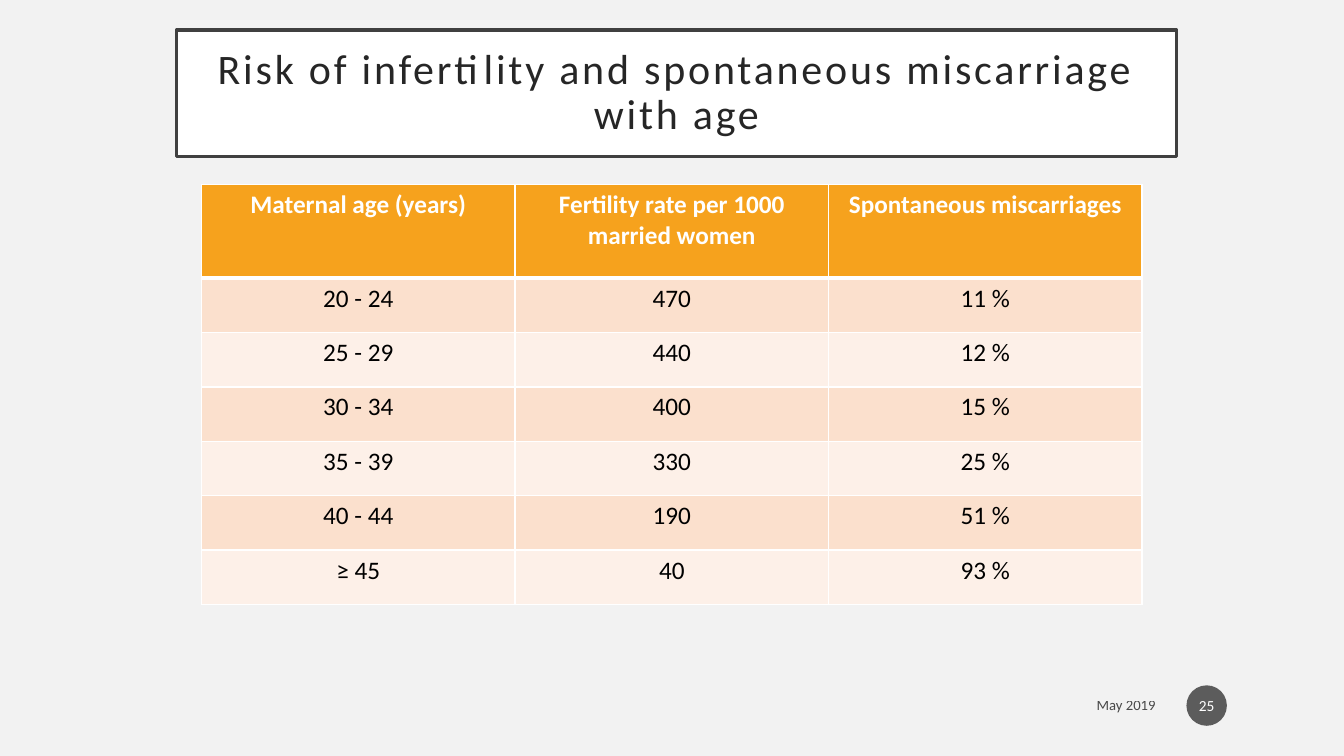
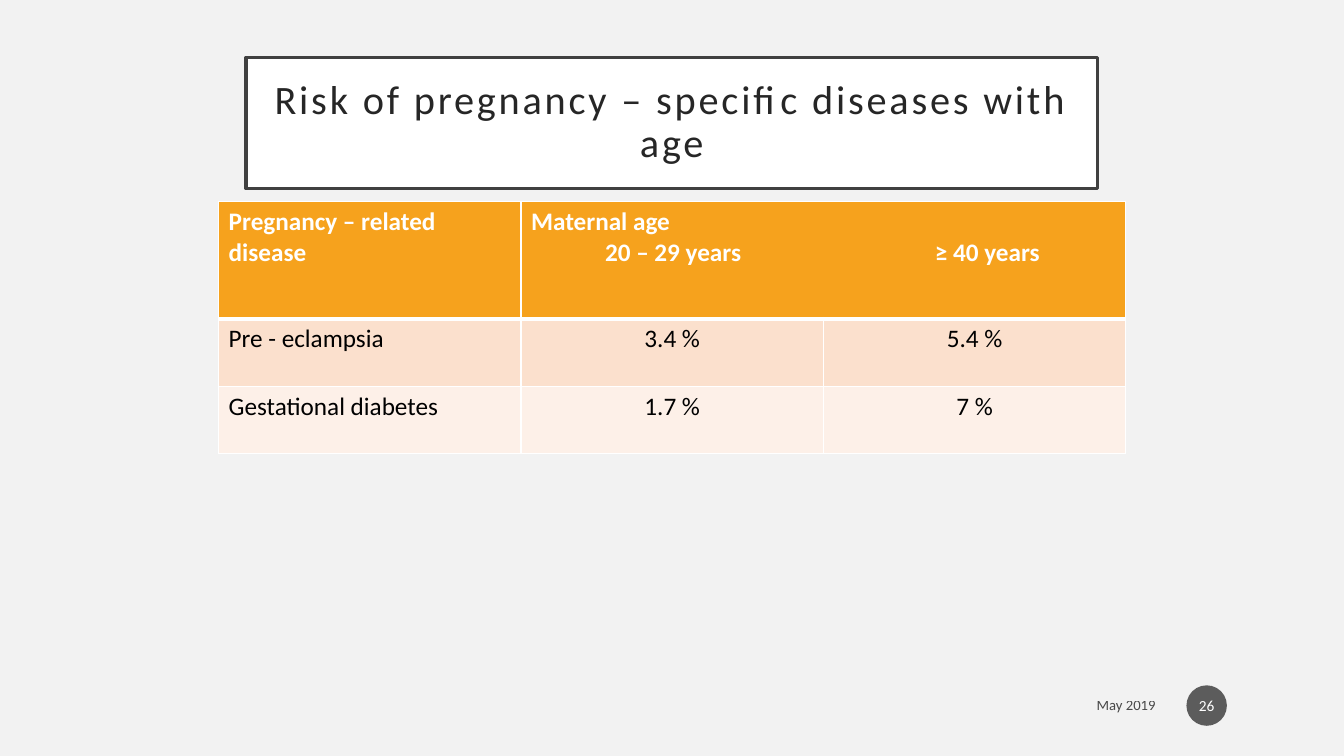
from dataclasses import dataclass
from lxml.etree import SubElement
from pptx import Presentation
from pptx.dml.color import RGBColor as RGB
from pptx.enum.shapes import MSO_SHAPE as SHAPE
from pptx.enum.text import MSO_ANCHOR as ANCHOR, MSO_AUTO_SIZE as AUTO, PP_ALIGN as ALIGN
from pptx.oxml.ns import qn
from pptx.util import Cm, Pt


@dataclass(frozen=True)
class Theme:
    font = "Calibri"
    page = RGB.from_string("F2F2F2")
    white = RGB.from_string("FFFFFF")
    black = RGB.from_string("000000")
    title = RGB.from_string("262626")
    frame = RGB.from_string("404040")
    badge = RGB.from_string("1D1D1D")
    header = RGB.from_string("F6A21D")
    bands = (RGB.from_string("FBE0CD"), RGB.from_string("FDF0E8"))
    cell_size = 18
    date_size = 10.5
    number_size = 11
    opacity = "70000"


def style(p, size, color, align, bold=False):
    p.alignment = align
    p.font.name = theme.font
    p.font.size = Pt(size)
    p.font.bold = bold
    p.font.color.rgb = color


def fade(element):
    for clr in element.iter(qn("a:srgbClr")):
        SubElement(clr, qn("a:alpha"), val=theme.opacity)


theme = Theme()
slides = [
    dict(
        number="25",
        title="Risk of infertility and spontaneous miscarriage with age",
        title_size=30,
        title_box=(4.45, 0.76, 25.2, 3.18),
        table_at=(5.08, 4.65),
        col_width=7.9,
        header_height=2.36,
        row_height=1.37,
        first_align=ALIGN.CENTER,
        rows=[
            ("Maternal age (years)", "Fertility rate per 1000 married women",
             "Spontaneous miscarriages"),
            ("20 - 24", "470", "11 %"),
            ("25 - 29", "440", "12 %"),
            ("30 - 34", "400", "15 %"),
            ("35 - 39", "330", "25 %"),
            ("40 - 44", "190", "51 %"),
            ("≥ 45", "40", "93 %"),
        ],
    ),
    dict(
        number="26",
        title="Risk of pregnancy – specific diseases with age",
        title_size=28.8,
        title_box=(6.2, 1.45, 21.46, 3.3),
        table_at=(5.51, 5.08),
        col_width=7.62,
        header_height=2.95,
        row_height=1.7,
        first_align=ALIGN.LEFT,
        rows=[
            ("Pregnancy – related disease", "Maternal age\n\t20 – 29 years\t≥ 40 years", None),
            ("Pre - eclampsia", "3.4 %", "5.4 %"),
            ("Gestational diabetes", "1.7 %", "7 %"),
        ],
    ),
]

prs = Presentation()
prs.slide_width, prs.slide_height = Cm(33.87), Cm(19.05)
fill = prs.slide_master.background.fill
fill.solid()
fill.fore_color.rgb = theme.page

for data in slides:
    s = prs.slides.add_slide(prs.slide_layouts[5])

    sp = s.shapes.title
    sp.left, sp.top, sp.width, sp.height = map(Cm, data["title_box"])
    sp.fill.solid()
    sp.fill.fore_color.rgb = theme.white
    sp.line.color.rgb = theme.frame
    sp.line.width = Pt(2.5)
    tf = sp.text_frame
    tf.text = data["title"]
    tf.word_wrap = True
    tf.auto_size = AUTO.NONE
    tf.vertical_anchor = ANCHOR.MIDDLE
    tf.margin_left = tf.margin_right = tf.margin_top = tf.margin_bottom = Cm(0.51)
    p = tf.paragraphs[0]
    p.line_spacing = 0.9
    style(p, data["title_size"], theme.title, ALIGN.CENTER)
    p.runs[0]._r.get_or_add_rPr().set("spc", "200")

    rows = data["rows"]
    heights = [data["header_height"]] + [data["row_height"]] * (len(rows) - 1)
    left, top = map(Cm, data["table_at"])
    table = s.shapes.add_table(len(rows), 3, left, top,
                               Cm(3 * data["col_width"]), Cm(sum(heights))).table
    for col in table.columns:
        col.width = Cm(data["col_width"])
    for i, values in enumerate(rows):
        table.rows[i].height = Cm(heights[i])
        for j, value in enumerate(values):
            cell = table.cell(i, j)
            tcPr = cell._tc.get_or_add_tcPr()
            for side in ("lnL", "lnR", "lnT", "lnB"):
                thick = (i == 0 and side == "lnB") or (i == 1 and side == "lnT")
                ln = SubElement(tcPr, qn(f"a:{side}"), w=str(Pt(3 if thick else 1)))
                SubElement(SubElement(ln, qn("a:solidFill")), qn("a:srgbClr"), val=str(theme.white))
            cell.fill.solid()
            cell.fill.fore_color.rgb = theme.bands[(i - 1) % 2] if i else theme.header
            if value is None:
                table.cell(i, j - 1).merge(cell)
                continue
            cell.text_frame.text = value
            align = ALIGN.CENTER if j else data["first_align"]
            for p in cell.text_frame.paragraphs:
                if "\t" in value:
                    align = ALIGN.LEFT
                    tabs = SubElement(p._p.get_or_add_pPr(), qn("a:tabLst"))
                    for pos in (3.58, 11.5):
                        SubElement(tabs, qn("a:tab"), pos=str(Cm(pos)), algn="ctr")
                style(p, theme.cell_size, theme.black if i else theme.white, align, i == 0)

    sp = s.shapes.add_textbox(Cm(21.72), Cm(17.32), Cm(7.65), Cm(0.89))
    tf = sp.text_frame
    tf.text = "May 2019"
    tf.word_wrap = True
    tf.vertical_anchor = ANCHOR.MIDDLE
    style(tf.paragraphs[0], theme.date_size, theme.black, ALIGN.RIGHT)
    fade(tf.paragraphs[0]._p)

    sp = s.shapes.add_shape(SHAPE.OVAL, Cm(29.9), Cm(17.27), Cm(1.02), Cm(1.02))
    sp.shadow.inherit = False
    sp.fill.solid()
    sp.fill.fore_color.rgb = theme.badge
    fade(sp._element.spPr)
    sp.line.fill.background()
    tf = sp.text_frame
    tf.text = data["number"]
    tf.vertical_anchor = ANCHOR.MIDDLE
    tf.margin_left = tf.margin_right = Cm(0.05)
    style(tf.paragraphs[0], theme.number_size, theme.white, ALIGN.CENTER)

prs.save("out.pptx")
